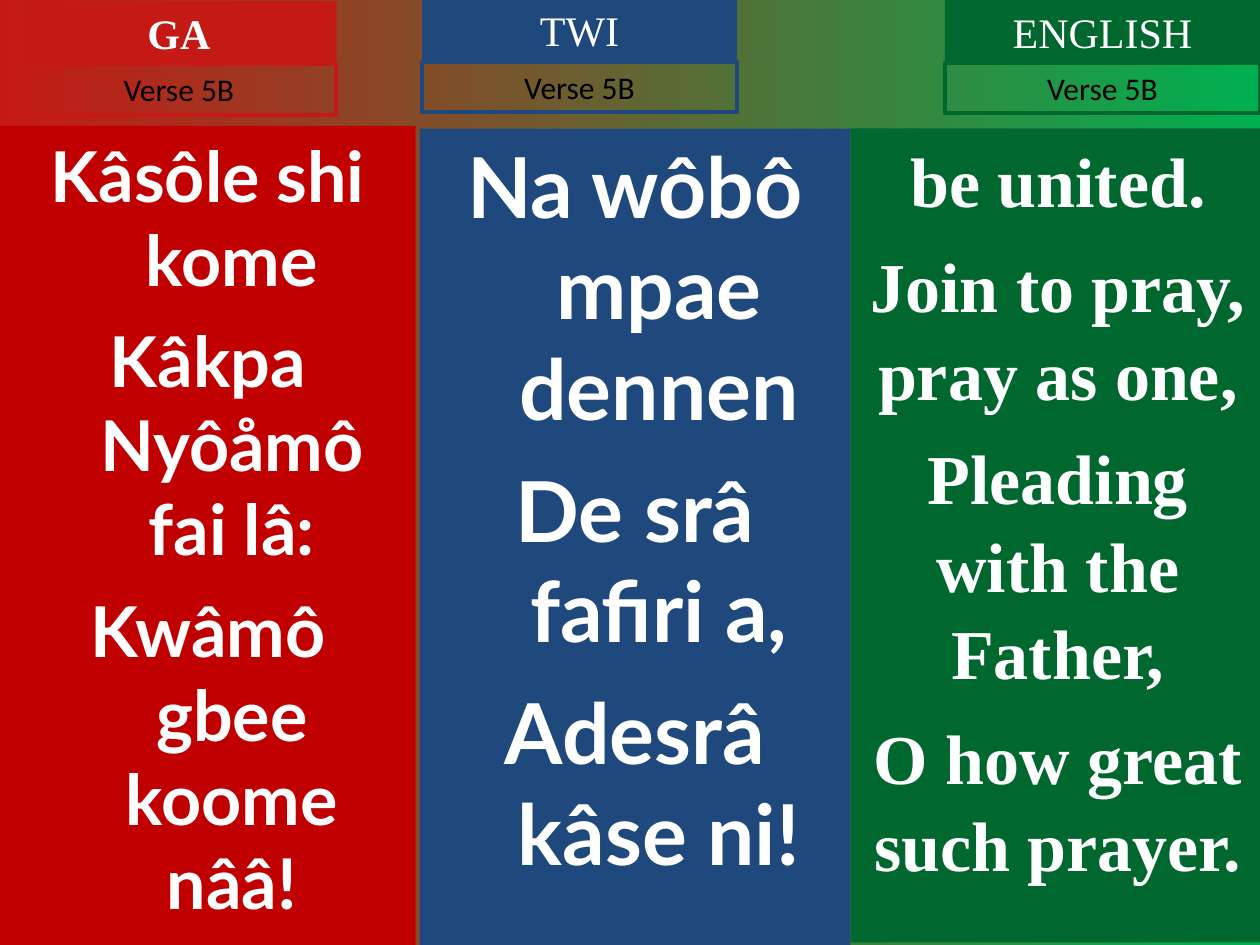
import pptx
import pptx.dml.color
import pptx.enum.shapes
import pptx.enum.text
import pptx.util
from dataclasses import dataclass


@dataclass(frozen=True)
class Theme:
    red: str = "C51915"
    deep_red: str = "C00000"
    blue: str = "1F497D"
    green: str = "00682F"
    bright_green: str = "00B050"
    white: str = "FFFFFF"
    black: str = "000000"
    serif: str = "Times New Roman"
    lyric: str = "Lato"
    label: str = "Calibri"
    heading_size: int = 24
    label_size: int = 18
    outline: float = 2.25
    hanging: float = 0.38


@dataclass(frozen=True)
class TextStyle:
    font: str
    size: int
    color: str
    bold: bool = False
    space: int = 0
    hanging: float = 0
    leading: float = 1


def rgb(code):
    return pptx.dml.color.RGBColor.from_string(code)


class VerseSlide:
    """Places elements by percentages of the slide's width and height."""

    def __init__(self, deck, theme):
        self.deck = deck
        self.theme = theme
        self.page = deck.slides.add_slide(deck.slide_layouts[6])

    def background(self, *colors):
        fill = self.page.background.fill
        fill.gradient()
        fill.gradient_angle = 0
        for stop, color in zip(fill.gradient_stops, colors):
            stop.color.rgb = rgb(color)

    def panel(self, place, lines, style, fill=None, outline=None, grow=False):
        left, top, width, height = place
        across, down = self.deck.slide_width / 100, self.deck.slide_height / 100
        box = self.page.shapes.add_shape(
            pptx.enum.shapes.MSO_SHAPE.RECTANGLE,
            round(left * across), round(top * down),
            round(width * across), round(height * down))
        box.shadow.inherit = False
        if fill:
            box.fill.solid()
            box.fill.fore_color.rgb = rgb(fill)
        else:
            box.fill.background()
        if outline:
            box.line.color.rgb = rgb(outline)
            box.line.width = pptx.util.Pt(self.theme.outline)
        else:
            box.line.fill.background()
        frame = box.text_frame
        frame.word_wrap = True
        frame.vertical_anchor = pptx.enum.text.MSO_ANCHOR.TOP
        if grow:
            frame.auto_size = pptx.enum.text.MSO_AUTO_SIZE.SHAPE_TO_FIT_TEXT
        for number, line in enumerate(lines):
            para = frame.add_paragraph() if number else frame.paragraphs[0]
            self.paragraph(para, line, style, style.space if number else 0)

    def paragraph(self, para, text, style, space):
        para.alignment = pptx.enum.text.PP_ALIGN.CENTER
        para.space_before = pptx.util.Pt(space)
        para.line_spacing = float(style.leading)
        if style.hanging:
            properties = para._p.get_or_add_pPr()
            indent = pptx.util.Inches(style.hanging)
            properties.set("marL", str(indent))
            properties.set("indent", str(-indent))
        span = para.add_run()
        span.text = text
        span.font.name = style.font
        span.font.size = pptx.util.Pt(style.size)
        span.font.bold = style.bold
        span.font.color.rgb = rgb(style.color)

    def header(self, left, top, language, color, bold=False):
        """Adds the language name with the outlined verse label below it."""
        theme = self.theme
        heading = TextStyle(theme.serif, theme.heading_size, theme.white, bold)
        label = TextStyle(theme.label, theme.label_size, theme.black)
        self.panel((left, top, 25, 6.67), [language], heading, fill=color, grow=True)
        self.panel((left, top + 6.67, 25, 5.33), ["Verse 5B"], label,
                   outline=color, grow=True)


def main():
    theme = Theme()
    deck = pptx.Presentation()
    deck.slide_width = pptx.util.Inches(10)
    deck.slide_height = pptx.util.Inches(7.5)
    slide = VerseSlide(deck, theme)
    slide.background(theme.red, theme.bright_green)

    ga = TextStyle(theme.lyric, 40, theme.white, True, 10, theme.hanging)
    twi = TextStyle(theme.lyric, 48, theme.white, True, 12, theme.hanging)
    english = TextStyle(theme.serif, 40, theme.white, True, 10, leading=1.04)
    verses = [
        ((0, 13.33, 33, 86.67), theme.deep_red, ga,
         ["Kâsôle shi kome", "Kâkpa Nyôåmô fai lâ:", "Kwâmô gbee koome nââ!"]),
        ((33.3, 13.6, 34.2, 86.4), theme.blue, twi,
         ["Na wôbô mpae dennen", "De srâ fafiri a,", "Adesrâ kâse ni!"]),
        ((67.5, 13.6, 32.9, 86.13), theme.green, english,
         ["be united.", "Join to pray, pray as one,",
          "Pleading with the Father,", "O how great such prayer."]),
    ]
    for place, color, style, lines in verses:
        slide.panel(place, lines, style, fill=color)

    slide.header(1.7, 0.13, "GA", theme.red, bold=True)
    slide.header(33.5, -0.13, "TWI", theme.blue)
    slide.header(75, 0, "ENGLISH", theme.green)
    deck.save("out.pptx")


if __name__ == "__main__":
    main()
